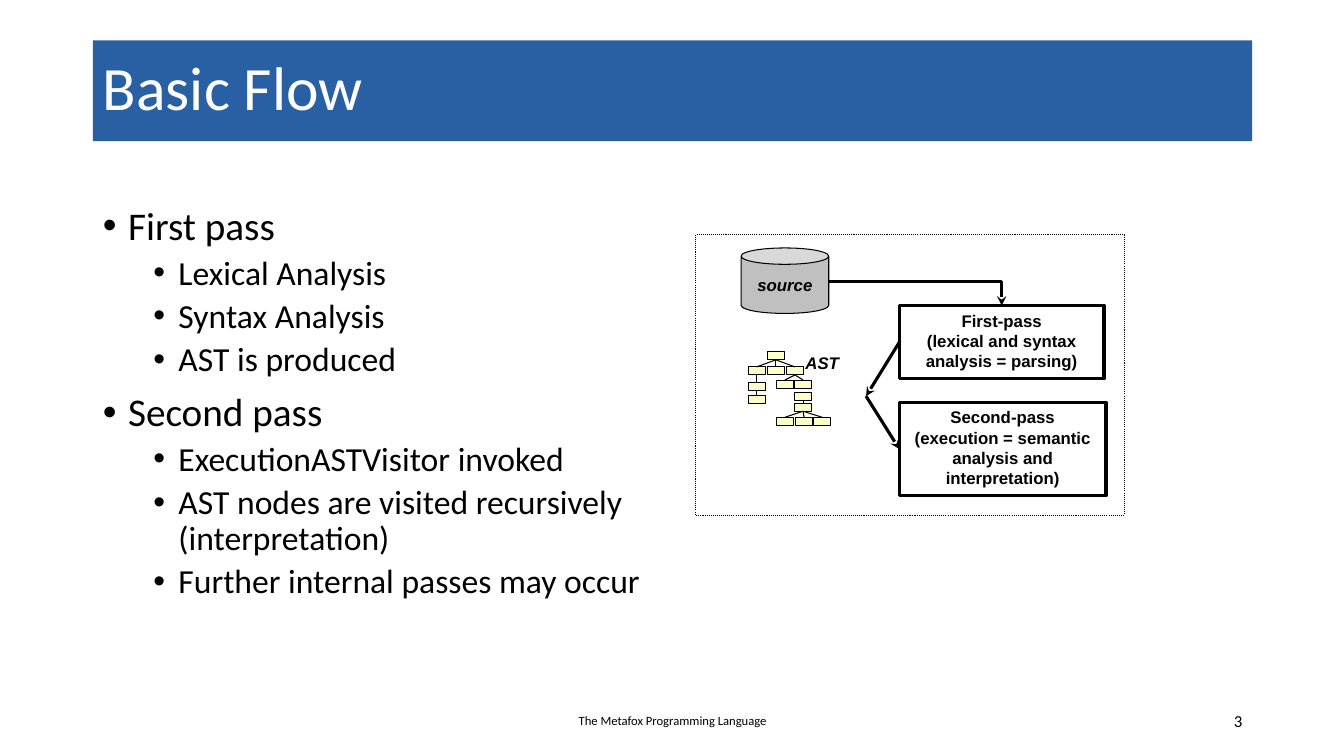
import pptx
import pptx.util
import pptx.dml.color
import pptx.enum.dml
import pptx.enum.shapes
import pptx.enum.text
import pptx.oxml.ns
from lxml import etree

Inches = pptx.util.Inches
Pt = pptx.util.Pt
Align = pptx.enum.text.PP_ALIGN
Anchor = pptx.enum.text.MSO_ANCHOR
Preset = pptx.enum.shapes.MSO_SHAPE
Connector = pptx.enum.shapes.MSO_CONNECTOR
qn = pptx.oxml.ns.qn

COLORS = {
    "banner": "2960A3", "white": "FFFFFF", "black": "000000",
    "source": "C0C0C0", "node": "FFFFCC",
}
TOP, LEFT, BOTTOM = 0, 1, 2

OUTLINE = [
    (0, "First pass"),
    (1, "Lexical Analysis"),
    (1, "Syntax Analysis"),
    (1, "AST is produced"),
    (0, "Second pass"),
    (1, "ExecutionASTVisitor invoked"),
    (1, "AST nodes are visited recursively (interpretation)"),
    (1, "Further internal passes may occur"),
]
LEVELS = [  # text size, space before, left margin
    (28, 10, 0.25),
    (24, 5, 0.75),
]
TREE_NODES = {
    "root": (7.61, 3.49),
    "left": (7.42, 3.64), "middle": (7.61, 3.64), "right": (7.8, 3.64),
    "left child": (7.42, 3.79), "left leaf": (7.42, 3.92),
    "right first": (7.7, 3.77), "right second": (7.88, 3.77),
    "lower": (7.88, 3.89), "lower child": (7.88, 4),
    "leaf 1": (7.7, 4.14), "leaf 2": (7.89, 4.14), "leaf 3": (8.07, 4.14),
}
TREE_EDGES = {
    "root": ["left", "middle", "right"],
    "left": ["left child"],
    "left child": ["left leaf"],
    "right": ["right first", "right second"],
    "lower": ["lower child"],
    "lower child": ["leaf 1", "leaf 2", "leaf 3"],
}


def color(name):
    return pptx.dml.color.RGBColor.from_string(COLORS[name])


def place(shape, box):
    shape.left, shape.top, shape.width, shape.height = map(Inches, box)


def add_run(paragraph, text, size, font="Calibri", fill="black", bold=None, italic=None):
    run = paragraph.add_run()
    run.text = text
    run.font.size = Pt(size)
    run.font.name = font
    run.font.color.rgb = color(fill)
    run.font.bold = bold
    run.font.italic = italic


def set_frame(shape, anchor, wrap=True):
    frame = shape.text_frame
    frame.auto_size = pptx.enum.text.MSO_AUTO_SIZE.NONE
    frame.word_wrap = wrap
    frame.vertical_anchor = anchor
    return frame


def next_paragraph(frame, index):
    return frame.add_paragraph() if index else frame.paragraphs[0]


def fill_title(title):
    place(title, (0.92, 0.4, 11.5, 1))
    title.fill.solid()
    title.fill.fore_color.rgb = color("banner")
    paragraph = set_frame(title, Anchor.MIDDLE).paragraphs[0]
    paragraph.alignment = Align.LEFT
    paragraph.line_spacing = 0.9
    add_run(paragraph, "Basic Flow", 44, fill="white")


def fill_outline(body):
    place(body, (0.92, 2, 5.67, 4.76))
    frame = set_frame(body, Anchor.TOP)
    for index, (level, text) in enumerate(OUTLINE):
        size, space, margin = LEVELS[level]
        paragraph = next_paragraph(frame, index)
        paragraph.level = level
        properties = paragraph._p.get_or_add_pPr()
        properties.set("marL", str(Inches(margin)))
        properties.set("indent", str(Inches(-0.25)))
        etree.SubElement(properties, qn("a:buFont")).set("typeface", "Arial")
        etree.SubElement(properties, qn("a:buChar")).set("char", "•")
        paragraph.line_spacing = 0.9
        paragraph.space_before = Pt(space if index else 0)
        add_run(paragraph, text, size)


def add_label(slide, box, text, size, alignment, anchor=Anchor.MIDDLE, wrap=True, **style):
    shape = slide.shapes.add_textbox(*map(Inches, box))
    paragraph = set_frame(shape, anchor, wrap).paragraphs[0]
    paragraph.alignment = alignment
    add_run(paragraph, text, size, **style)


def add_block(slide, box, fill=None, width=0.75, preset=Preset.RECTANGLE):
    """Add a black-outlined shape, hollow when no fill is given."""
    shape = slide.shapes.add_shape(preset, *map(Inches, box))
    shape.shadow.inherit = False
    if fill:
        shape.fill.solid()
        shape.fill.fore_color.rgb = color(fill)
    else:
        shape.fill.background()
    shape.line.color.rgb = color("black")
    shape.line.width = Pt(width)
    return shape


def add_pass(slide, box, lines):
    shape = add_block(slide, box, "white", 2.25)
    frame = set_frame(shape, Anchor.TOP)
    for index, text in enumerate(lines):
        paragraph = next_paragraph(frame, index)
        paragraph.alignment = Align.CENTER
        add_run(paragraph, text, 12, "Arial", bold=True)
    return shape


def add_line(slide, start=(0, 0), end=(0, 0), width=0.75, arrow=False, kind=Connector.STRAIGHT):
    connector = slide.shapes.add_connector(kind, *map(Inches, start + end))
    connector.line.color.rgb = color("black")
    connector.line.width = Pt(width)
    if arrow:
        etree.SubElement(connector.line._get_or_add_ln(), qn("a:tailEnd")).set("type", "stealth")
    etree.SubElement(connector._element.spPr, qn("a:effectLst"))
    return connector


def add_tree(slide):
    nodes = {name: add_block(slide, corner + (0.17, 0.08), "node")
             for name, corner in TREE_NODES.items()}
    for parent, children in TREE_EDGES.items():
        for child in children:
            edge = add_line(slide)
            edge.begin_connect(nodes[parent], BOTTOM)
            edge.end_connect(nodes[child], TOP)
    add_label(slide, (7.89, 3.45, 0.53, 0.3), "AST", 12, Align.LEFT, Anchor.TOP, False,
              font="Arial", bold=True, italic=True)


def add_diagram(slide):
    frame = add_block(slide, (6.9, 2.33, 4.25, 2.78))
    frame.line.dash_style = pptx.enum.dml.MSO_LINE.ROUND_DOT

    source = add_block(slide, (7.35, 2.46, 0.87, 0.65), "source", preset=Preset.CAN)
    paragraph = set_frame(source, Anchor.MIDDLE, False).paragraphs[0]
    paragraph.alignment = Align.CENTER
    add_run(paragraph, "source", 12, "Arial", bold=True, italic=True)

    add_tree(slide)
    first_pass = add_pass(slide, (8.92, 3.03, 2.03, 0.73),
                          ["First-pass", "(lexical and syntax analysis = parsing)"])
    second_pass = add_pass(slide, (8.92, 3.99, 2.05, 0.93),
                           ["Second-pass", "(execution = semantic analysis and interpretation)"])

    feed = add_line(slide, (8.22, 2.79), (9.94, 3.03), 2.25, True, Connector.ELBOW)
    feed._element.spPr.find(qn("a:prstGeom")).set("prst", "bentConnector2")
    feed.end_connect(first_pass, TOP)
    tree_side = (8.59, 3.93)
    produce = add_line(slide, end=tree_side, width=2.25, arrow=True)
    produce.begin_connect(first_pass, LEFT)
    consume = add_line(slide, start=tree_side, width=2.25, arrow=True)
    consume.end_connect(second_pass, LEFT)


def main():
    presentation = pptx.Presentation()
    presentation.slide_width = Inches(13.33)
    presentation.slide_height = Inches(7.5)
    slide = presentation.slides.add_slide(presentation.slide_layouts[1])
    fill_title(slide.shapes.title)
    fill_outline(slide.placeholders[1])
    add_label(slide, (4.42, 6.95, 4.5, 0.4), "The Metafox Programming Language", 9, Align.CENTER)
    add_label(slide, (9.42, 6.95, 3, 0.4), "3", 12, Align.RIGHT)
    add_diagram(slide)
    presentation.save("out.pptx")


if __name__ == "__main__":
    main()
